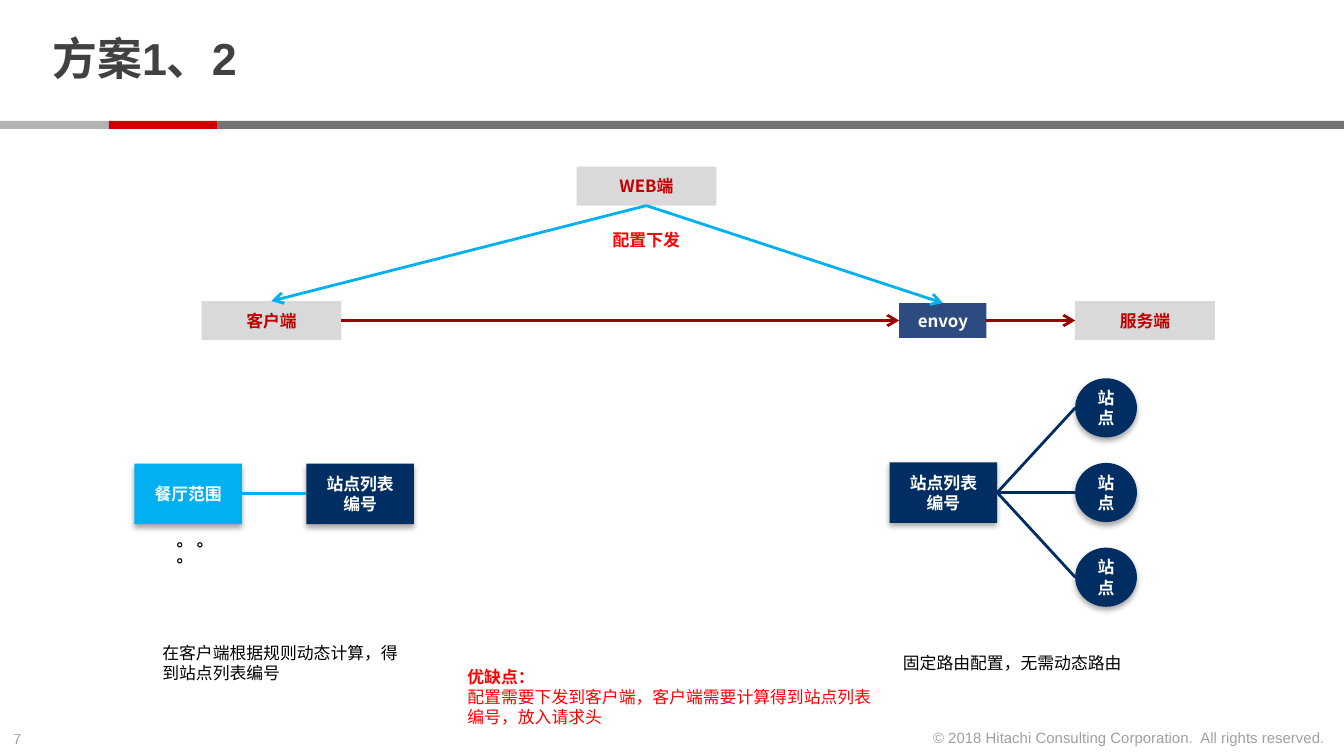
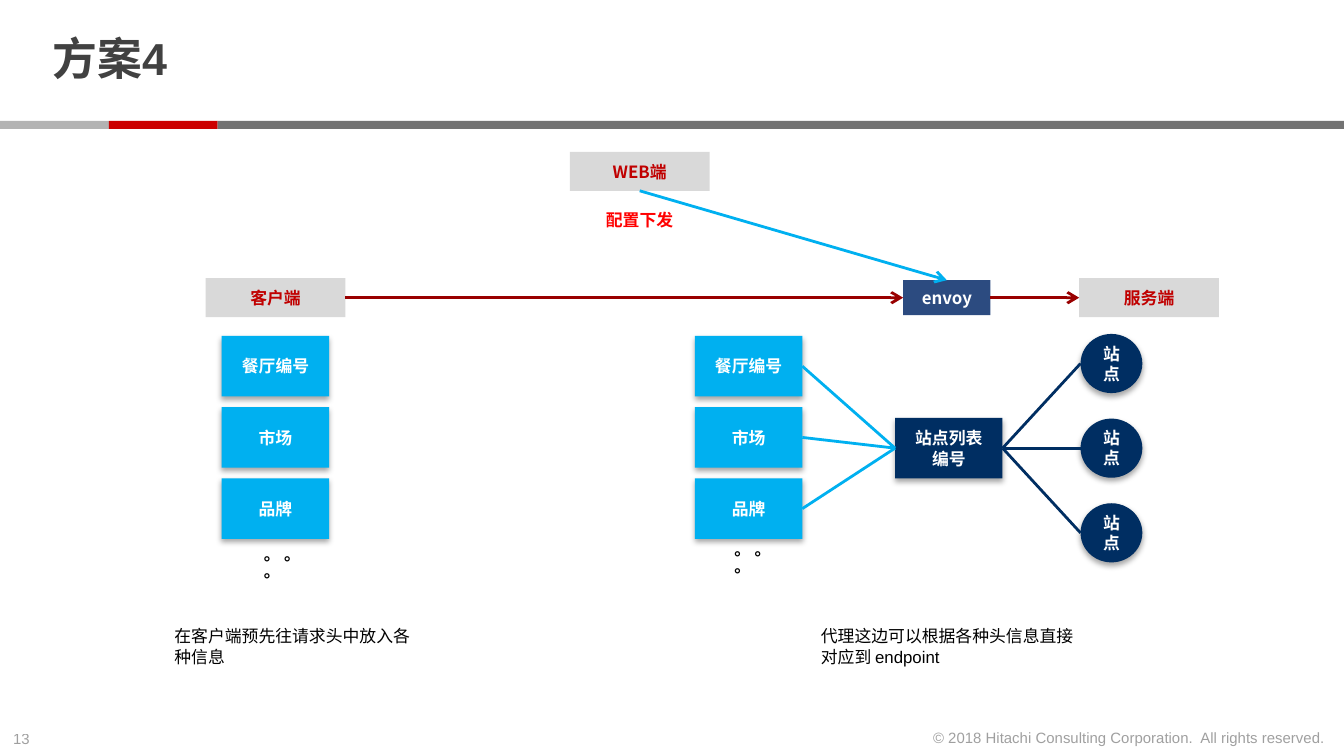
from lxml import etree
from pptx import Presentation
from pptx.dml.color import RGBColor
from pptx.enum.shapes import MSO_CONNECTOR as Connector, MSO_SHAPE as Preset
from pptx.enum.text import MSO_ANCHOR as Anchor, MSO_AUTO_SIZE as AutoSize, PP_ALIGN as Align
from pptx.oxml.ns import qn
from pptx.util import Inches, Pt

TOP, LEFT, BOTTOM, RIGHT = range(4)
RED, BRIGHT_RED, DARK_RED = "C00000", "FF0000", "990000"
NAVY, SKY, STEEL, LIGHT_GREY = "002E62", "00B0F0", "2C4B80", "D9D9D9"
INK, BLACK, WHITE = "414141", "000000", "FFFFFF"
LATIN, CHINESE = "Arial", "Noto Sans CJK SC"
BANDS = [(0, 0.81, "B3B3B3"), (0.81, 0.81, "CC0000"), (1.62, 8.38, "737373")]
COPYRIGHT = "© 2018 Hitachi Consulting Corporation.  All rights reserved."
ENDPOINT_WIDTH, ENDPOINT_HEIGHT, ENVOY_HEIGHT = 1.04, 0.29, 0.26
CARD_HEIGHT, STATION_HEIGHT, STATION_STEP = 0.45, 0.44, 0.63


def color(value):
    return RGBColor.from_string(value)


def edge_point(shape, side):
    x = shape.left + {LEFT: 0, RIGHT: shape.width}.get(side, shape.width // 2)
    y = shape.top + {TOP: 0, BOTTOM: shape.height}.get(side, shape.height // 2)
    return x, y


class Deck:
    def __init__(self):
        self.presentation = Presentation()
        self.presentation.slide_width = Inches(10)
        self.presentation.slide_height = Inches(10) * 9 // 16
        self.slide = None

    def start(self, title, number):
        self.slide = self.presentation.slides.add_slide(self.presentation.slide_layouts[5])
        for left, width, fill in BANDS:
            self.box("", left, 0.9, width, 0.06, fill)
        for text, left, top, width, align in (
            (number, 0, 5.38, 0.34, Align.LEFT),
            (COPYRIGHT, 6.8, 5.37, 3.16, Align.RIGHT),
        ):
            self.label(text, left, top, width, 0.24, INK, size=8, wrap=False, align=align, alpha=50)
        placeholder = self.slide.shapes.title
        placeholder.left, placeholder.top = Inches(0.29), Inches(0.06)
        placeholder.width, placeholder.height = Inches(7.71), Inches(0.8)
        frame = placeholder.text_frame
        frame.text = title
        frame.auto_size = AutoSize.NONE
        frame.vertical_anchor = Anchor.MIDDLE
        frame.margin_top = frame.margin_bottom = 0
        frame.paragraphs[0].line_spacing = 0.85
        self.format(frame, INK, 24, True, LATIN, Align.LEFT)

    def format(self, frame, ink, size, bold, font, align, alpha=None):
        for paragraph in frame.paragraphs:
            paragraph.alignment = align
            for run in paragraph.runs:
                run.font.size, run.font.bold, run.font.name = Pt(size), bold, font
                run.font.color.rgb = color(ink)
                properties = run.font._element
                properties.find(qn("a:latin")).addnext(
                    etree.Element(qn("a:ea"), typeface=CHINESE))
                if alpha:
                    fill = properties.find(qn("a:solidFill"))
                    etree.SubElement(fill[0], qn("a:alpha"), val=str(alpha * 1000))

    def box(self, text, left, top, width, height, fill, ink=WHITE, preset=Preset.RECTANGLE, shadow=False):
        shape = self.slide.shapes.add_shape(
            preset, Inches(left), Inches(top), Inches(width), Inches(height))
        shape.fill.solid()
        shape.fill.fore_color.rgb = color(fill)
        shape.line.fill.background()
        shape.shadow.inherit = False
        if shadow:
            self.drop_shadow(shape)
        if text:
            frame = shape.text_frame
            frame.text = text
            frame.word_wrap = True
            frame.vertical_anchor = Anchor.MIDDLE
            self.format(frame, ink, 9, True, CHINESE, Align.CENTER)
        return shape

    def drop_shadow(self, shape):
        effects = shape.element.spPr.find(qn("a:effectLst"))
        outer = etree.SubElement(
            effects, qn("a:outerShdw"), blurRad=str(Pt(3.1)), dist=str(Pt(1.8)),
            dir="5400000", rotWithShape="0")
        shade = etree.SubElement(outer, qn("a:srgbClr"), val=BLACK)
        etree.SubElement(shade, qn("a:alpha"), val="35000")

    def endpoint(self, text, left, top):
        return self.box(text, left, top, ENDPOINT_WIDTH, ENDPOINT_HEIGHT, LIGHT_GREY, RED)

    def card(self, text, left, top, fill):
        return self.box(text, left, top, 0.8, CARD_HEIGHT, fill, shadow=True)

    def label(self, text, left, top, width, height, ink=BLACK, size=9, bold=False,
              wrap=True, align=Align.LEFT, alpha=None):
        shape = self.slide.shapes.add_textbox(
            Inches(left), Inches(top), Inches(width), Inches(height))
        frame = shape.text_frame
        frame.text = text
        frame.word_wrap = wrap
        frame.auto_size = AutoSize.SHAPE_TO_FIT_TEXT
        self.format(frame, ink, size, bold, LATIN, align, alpha)
        return shape

    def dots(self, left, top):
        shape = self.label("。。。", left, top, 0.35, 0.43, bold=True)
        shape.element.txBody.find(qn("a:bodyPr")).set("vert", "eaVert")

    def link(self, start, start_side, end, end_side, ink, arrow=False):
        connector = self.slide.shapes.add_connector(
            Connector.STRAIGHT, *edge_point(start, start_side), *edge_point(end, end_side))
        connector.line.color.rgb = color(ink)
        connector.line.width = Pt(1.5)
        properties = connector.element.spPr
        if arrow:
            etree.SubElement(properties.find(qn("a:ln")), qn("a:tailEnd"), type="arrow")
        etree.SubElement(properties, qn("a:effectLst"))

    def route(self, left, top):
        client = self.endpoint("客户端", left, top)
        server = self.endpoint("服务端", left + 6.5, top)
        envoy_top = top + (ENDPOINT_HEIGHT - ENVOY_HEIGHT) / 2
        envoy = self.box("envoy", left + 5.19, envoy_top, 0.65, ENVOY_HEIGHT, STEEL)
        self.link(client, RIGHT, envoy, LEFT, DARK_RED, arrow=True)
        self.link(envoy, RIGHT, server, LEFT, DARK_RED, arrow=True)
        return client, envoy

    def stations(self, left, top):
        site_list = self.card("站点列表\n编号", left, top, NAVY)
        middle_top = top + (CARD_HEIGHT - STATION_HEIGHT) / 2
        for step in (-1, 0, 1):
            station = self.box("站点", left + 1.38, middle_top + step * STATION_STEP, 0.46,
                               STATION_HEIGHT, NAVY, preset=Preset.FLOWCHART_CONNECTOR, shadow=True)
            self.link(site_list, RIGHT, station, LEFT, NAVY)
        return site_list

    def web(self, left, top, label_top, targets):
        source = self.endpoint("WEB端", left, top)
        for target in targets:
            self.link(source, BOTTOM, target, TOP, SKY, arrow=True)
        self.label("配置下发", left + 0.17, label_top, 0.71, 0.25, BRIGHT_RED, bold=True, wrap=False)

    def header_cards(self, left):
        return [self.card(text, left, 2.5 + row * 0.53, SKY)
                for row, text in enumerate(("餐厅编号", "市场", "品牌"))]


def build_client_side(deck):
    deck.start("方案1、2", "7")
    client, envoy = deck.route(1.5, 2.24)
    deck.stations(6.62, 3.44)
    deck.label("固定路由配置，无需动态路由", 6.62, 4.81, 2.06, 0.25)
    area = deck.card("餐厅范围", 1, 3.45, SKY)
    site_list = deck.card("站点列表\n编号", 2.28, 3.45, NAVY)
    deck.link(area, RIGHT, site_list, LEFT, SKY)
    deck.label("在客户端根据规则动态计算，得到站点列表编号", 1.11, 4.73, 2.06, 0.4)
    deck.dots(1.22, 3.93)
    deck.web(4.29, 1.24, 1.66, (client, envoy))
    remarks = deck.label("优缺点：\n配置需要下发到客户端，客户端需要计算得到站点列表编号，放入请求头",
                         3.38, 4.91, 3.24, 0.56, BRIGHT_RED)
    remarks.text_frame.paragraphs[0].runs[0].font.bold = True


def build_proxy_side(deck):
    deck.start("方案4", "13")
    _, envoy = deck.route(1.53, 2.07)
    site_list = deck.stations(6.66, 3.11)
    deck.label("代理这边可以根据各种头信息直接对应到 endpoint", 6.01, 4.61, 2.09, 0.4)
    deck.label("在客户端预先往请求头中放入各种信息", 1.2, 4.61, 2.06, 0.4)
    deck.header_cards(1.65)
    for card in deck.header_cards(5.17):
        deck.link(card, RIGHT, site_list, LEFT, SKY)
    deck.dots(1.87, 4.04)
    deck.dots(5.37, 4)
    deck.web(4.24, 1.13, 1.51, (envoy,))


def main():
    deck = Deck()
    build_client_side(deck)
    build_proxy_side(deck)
    deck.presentation.save("out.pptx")


if __name__ == "__main__":
    main()
